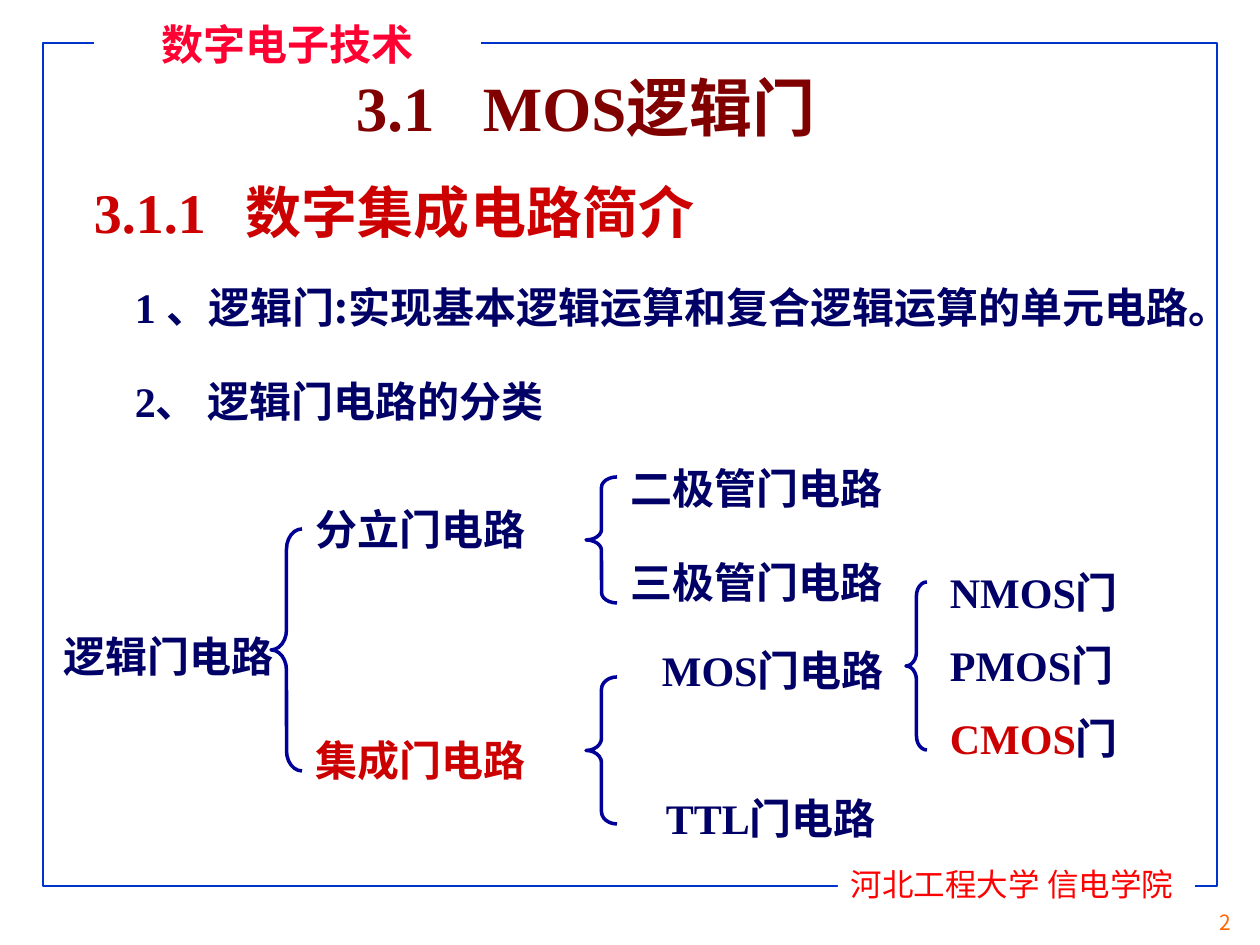
from lxml import etree
from pptx import Presentation
from pptx import util as u
from pptx.dml.color import RGBColor
from pptx.enum import shapes, text
from pptx.oxml.ns import qn

PX = 914400 // 126
SERIF, SANS = "Times New Roman", "Noto Sans CJK SC"
NAVY, RED, BLUE = "000066", "CC0000", "0033CC"
LEFT, MID = text.PP_ALIGN.LEFT, text.PP_ALIGN.CENTER


def px(n):
    return u.Emu(n * PX)


def rgb(hue):
    return RGBColor.from_string(hue)


def style(run, size, hue, face, bold=True):
    """Format a run, with one face for its East Asian letters throughout."""
    font = run.font
    font.size, font.bold, font.name = u.Pt(size), bold, face
    font.color.rgb = rgb(hue)
    east = etree.SubElement(run.font._element, qn("a:ea"))
    east.set("typeface", SANS)


def write(para, parts, size, hue, face=None, bold=True):
    """Write parts as runs; a part is text or a (text, colour) pair."""
    for part in parts:
        words, tint = (part, hue) if isinstance(part, str) else part
        run = para.add_run()
        run.text = words
        style(run, size, tint, face or (SERIF if words[0].isascii() else SANS), bold)


def place(shape, box):
    shape.left, shape.top, shape.width, shape.height = map(px, box)


def setup(frame, side, edge, anchor=text.MSO_ANCHOR.TOP):
    frame.auto_size = text.MSO_AUTO_SIZE.NONE
    frame.word_wrap = True
    frame.vertical_anchor = anchor
    frame.margin_left = frame.margin_right = px(side)
    frame.margin_top = frame.margin_bottom = px(edge)


def tab(para, pos):
    stops = etree.SubElement(para._p.get_or_add_pPr(), qn("a:tabLst"))
    etree.SubElement(stops, qn("a:tab"), pos=str(px(pos)), algn="l")


def rect(slide, box, fill=None, line=None):
    shape = slide.shapes.add_shape(shapes.MSO_SHAPE.RECTANGLE, *map(px, box))
    shape.shadow.inherit = False
    if fill:
        shape.fill.solid()
        shape.fill.fore_color.rgb = rgb(fill)
    else:
        shape.fill.background()
    if line:
        shape.line.color.rgb = rgb(line)
        shape.line.width = u.Pt(1)
    else:
        shape.line.fill.background()
    return shape


def plate(slide, box, words, size, hue, face, bold, align):
    """White box that breaks the frame line and carries text."""
    frame = rect(slide, box, "FFFFFF").text_frame
    setup(frame, 13, 6)
    para = frame.paragraphs[0]
    para.alignment = align
    write(para, [words], size, hue, face, bold)


def border(slide, box):
    x, y, w, h = box
    rect(slide, box, line=BLUE)
    plate(slide, (x + 795, y + 816, 357, 50), "河北工程大学 信电学院",
          18, "FF0000", SERIF, False, LEFT)
    plate(slide, (x + 51, y - 30, 387, 63), "数字电子技术",
          24, "FF0033", "Comic Neue", True, MID)
    page = slide.shapes.add_textbox(*map(px, (x + w - 10, y + h + 18, 50, 43)))
    setup(page.text_frame, 13, 6)
    write(page.text_frame.paragraphs[0], ["2"], 12, "FF6600", SANS, False)


def head(slide, box):
    """Title, with the section heading below it."""
    x, y, w, h = box
    title = slide.shapes.title
    place(title, (x + 262, y, w - 262, 78))
    sub = slide.shapes.add_textbox(*map(px, (x, y + 109, w, 71)))
    for shape, parts, stop, size, hue, face in (
            (title, ["3.1\tMOS逻辑门"], 127, 36, "800000", SERIF),
            (sub, ["3.1.1\t", "数字集成电路简介"], 152, 32, RED, None)):
        setup(shape.text_frame, 3, 1)
        para = shape.text_frame.paragraphs[0]
        para.alignment = LEFT
        tab(para, stop)
        write(para, parts, size, hue, face)


def points(slide, box):
    body = slide.placeholders[1]
    place(body, box)
    frame = body.text_frame
    setup(frame, 0, 0, text.MSO_ANCHOR.MIDDLE)
    items = (["1 、", "逻辑门:实现基本逻辑运算和复合逻辑运算的单元电路。"],
             ["2、", " 逻辑门电路的分类"])
    for i, parts in enumerate(items):
        para = frame.add_paragraph() if i else frame.paragraphs[0]
        para.space_before = u.Pt(25 if i else 0)
        para.line_spacing = 1.0
        props = para._p.get_or_add_pPr()
        props.set("marL", "0")
        props.set("indent", "0")
        etree.SubElement(props, qn("a:buNone"))
        write(para, [parts[0]], 24, NAVY, SERIF)
        write(para, [parts[1]], 24, NAVY, SANS)


def label(slide, x, y, parts, hue=NAVY):
    box = slide.shapes.add_textbox(*map(px, (x, y, 280, 73)))
    setup(box.text_frame, 13, 6)
    para = box.text_frame.paragraphs[0]
    para.line_spacing = 1.2
    write(para, parts, 24, hue)


def brace(slide, x, y, w, h):
    shape = slide.shapes.add_shape(
        shapes.MSO_SHAPE.LEFT_BRACE, *map(px, (x, y, w, h)))
    shape.shadow.inherit = False
    shape.fill.background()
    shape.line.color.rgb = rgb("000099")
    shape.line.width = u.Pt(2)
    shape.adjustments[0] = h / 12 / w


def tree(slide, box):
    """Classes of gate circuits, from left to right."""
    x, y, w, h = box
    for dx, dy, wide, high in ((220, 83, 31, 242), (535, 31, 31, 126),
                               (535, 231, 31, 147), (855, 136, 21, 168)):
        brace(slide, x + dx, y + dy, wide, high)
    for dx, dy, parts, hue in (
            (0, 168, ["逻辑门电路"], NAVY),
            (252, 41, ["分立门电路"], NAVY),
            (252, 272, ["集成门电路"], RED),
            (567, 0, ["二极管门电路"], NAVY),
            (567, 94, ["三极管门电路"], NAVY),
            (598, 182, ["MOS", "门电路"], NAVY),
            (602, 330, ["TTL", "门电路"], NAVY)):
        label(slide, x + dx, y + dy, parts, hue)
    kinds = ("NMOS", NAVY), ("PMOS", NAVY), ("CMOS", RED)
    for i, kind in enumerate(kinds):
        label(slide, x + 886, y + 104 + 73 * i, [kind, "门"])


def main():
    deck = Presentation()
    deck.slide_width, deck.slide_height = px(1260), px(945)
    slide = deck.slides.add_slide(deck.slide_layouts[1])
    border(slide, (43, 43, 1174, 843))
    head(slide, (91, 67, 900, 180))
    points(slide, (135, 256, 1070, 196))
    tree(slide, (51, 446, 1166, 403))
    deck.save("out.pptx")


if __name__ == "__main__":
    main()
